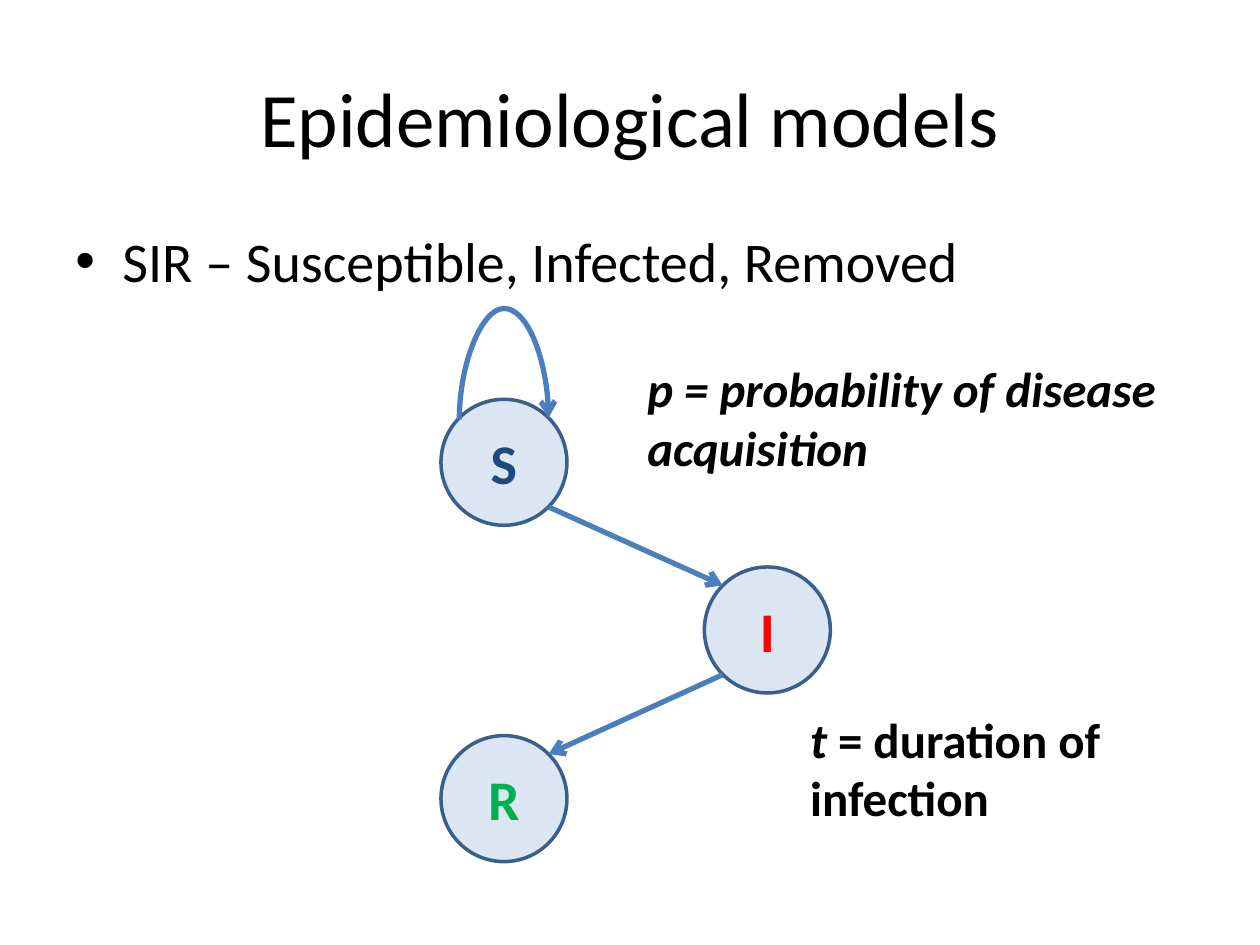
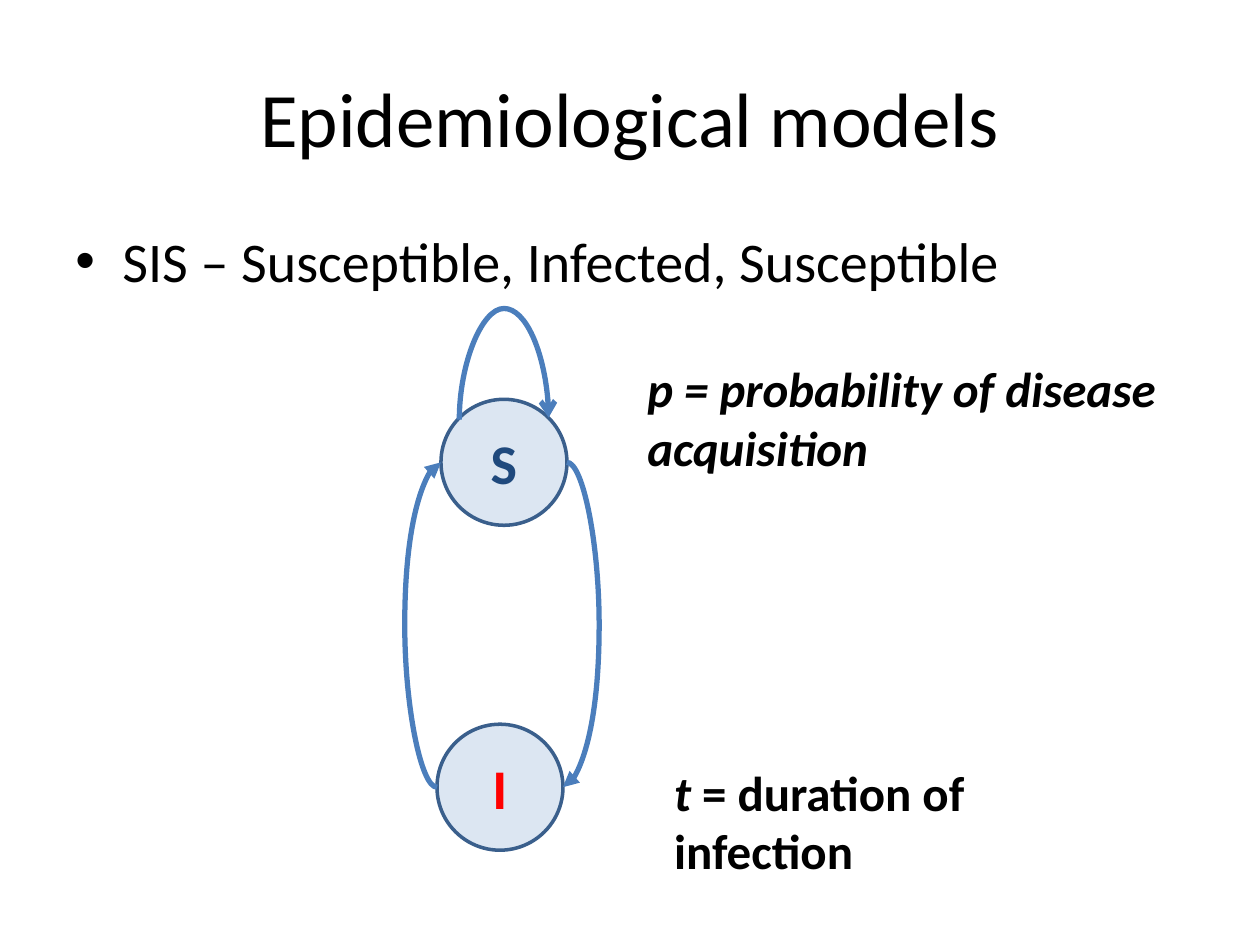
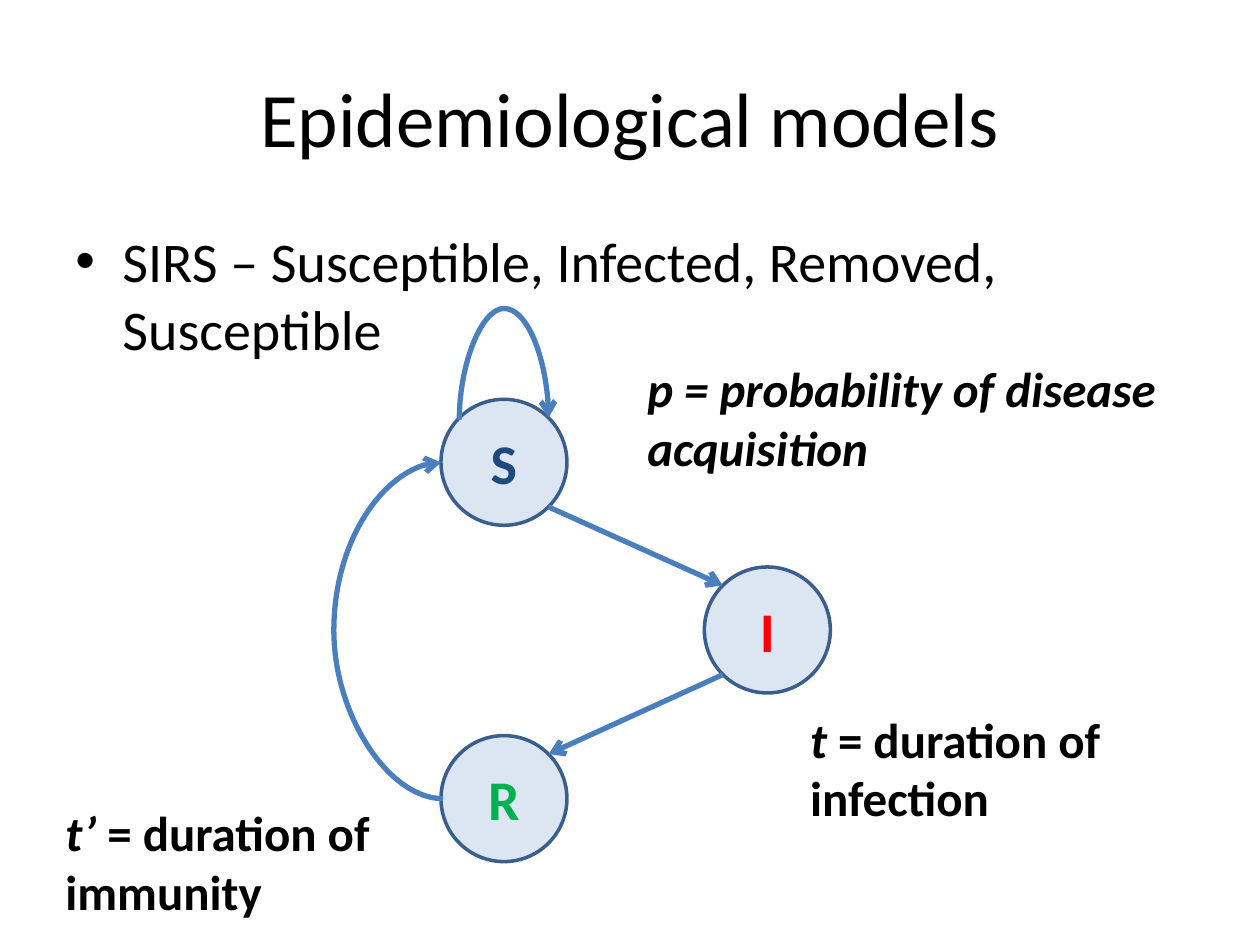
import math

from pptx import Presentation
from pptx import util as u
from pptx.dml.color import RGBColor
from pptx.enum import shapes, text
from pptx.oxml.ns import qn
from lxml import etree

FONT = "Calibri"
BLACK = RGBColor(0x00, 0x00, 0x00)
NODE_FILL = RGBColor(0xDC, 0xE6, 0xF2)
NODE_LINE = RGBColor(0x3A, 0x5F, 0x8C)
ARROW = RGBColor(0x4B, 0x7E, 0xBC)
STATE_COLOURS = {
    "S": RGBColor(0x1F, 0x49, 0x7D),
    "I": RGBColor(0xFF, 0x00, 0x00),
    "R": RGBColor(0x00, 0xB0, 0x50),
}

# All lengths are centimetres; nodes are placed by their centres.
NODE_SIZE = 2.54
RADIUS = NODE_SIZE / 2
DIAGONAL = 0.9
S_CENTRE = (10.16, 9.32)
I_CENTRE = (15.47, 12.7)
R_CENTRE = (10.16, 16.1)
I_BELOW_S = (10.08, 15.87)


def shifted(point, across, down):
    return point[0] + across, point[1] + down


def set_font(font, size, colour=BLACK, bold=False):
    font.name = FONT
    font.size = u.Pt(size)
    font.bold = bold
    font.color.rgb = colour


def add_model_slide(deck, summary):
    """Add a slide with the shared title and one bulleted line."""
    slide = deck.slides.add_slide(deck.slide_layouts[5])
    title = slide.shapes.title
    title.left, title.top = u.Cm(1.27), u.Cm(0.76)
    title.width, title.height = u.Cm(22.86), u.Cm(3.18)
    title.text_frame.text = "Epidemiological models"
    title.text_frame.vertical_anchor = text.MSO_ANCHOR.MIDDLE
    para = title.text_frame.paragraphs[0]
    para.alignment = text.PP_ALIGN.CENTER
    set_font(para.font, 44)

    box = slide.shapes.add_textbox(u.Cm(1.27), u.Cm(4.45), u.Cm(22.86), u.Cm(12.57))
    box.text_frame.word_wrap = True
    para = box.text_frame.paragraphs[0]
    para.text = summary
    para.space_before = u.Pt(6.4)
    set_font(para.font, 32)
    properties = para._p.get_or_add_pPr()
    properties.set("marL", str(u.Cm(0.95)))
    properties.set("indent", str(-u.Cm(0.95)))
    bullet_font = etree.Element(qn("a:buFont"), typeface="Arial")
    bullet = etree.Element(qn("a:buChar"), char="•")
    properties.find(qn("a:spcBef")).addnext(bullet_font)
    bullet_font.addnext(bullet)
    return slide


def add_node(slide, state, centre):
    left, top = shifted(centre, -RADIUS, -RADIUS)
    node = slide.shapes.add_shape(
        shapes.MSO_SHAPE.OVAL, u.Cm(left), u.Cm(top), u.Cm(NODE_SIZE), u.Cm(NODE_SIZE))
    node.shadow.inherit = False
    node.fill.solid()
    node.fill.fore_color.rgb = NODE_FILL
    node.line.color.rgb = NODE_LINE
    node.line.width = u.Pt(2)
    node.text_frame.vertical_anchor = text.MSO_ANCHOR.MIDDLE
    para = node.text_frame.paragraphs[0]
    para.text = state
    para.alignment = text.PP_ALIGN.CENTER
    set_font(para.font, 32, STATE_COLOURS[state], bold=True)


def add_arrow(slide, begin, end, kind=shapes.MSO_CONNECTOR.STRAIGHT, head="arrow"):
    points = [u.Cm(value) for value in (*begin, *end)]
    arrow = slide.shapes.add_connector(kind, *points)
    arrow.line.color.rgb = ARROW
    arrow.line.width = u.Pt(3)
    etree.SubElement(arrow.line._get_or_add_ln(), qn("a:tailEnd"), type=head)
    etree.SubElement(arrow._element.spPr, qn("a:effectLst"))
    return arrow


def add_curve(slide, begin, end, bulge, turn=0, head="arrow"):
    """Draw a curved arrow; bulge is its sideways reach before the turn in degrees."""
    middle = [(first + last) / 2 for first, last in zip(begin, end)]
    cosine, sine = math.cos(math.radians(turn)), math.sin(math.radians(turn))

    def unturned(point):
        across, down = point[0] - middle[0], point[1] - middle[1]
        return shifted(middle, across * cosine + down * sine, down * cosine - across * sine)

    start, finish = unturned(begin), unturned(end)
    curve = add_arrow(slide, start, finish, shapes.MSO_CONNECTOR.CURVE, head)
    properties = curve._element.spPr
    properties.find(qn("a:xfrm")).set("rot", str(turn * 60000))
    geometry = properties.find(qn("a:prstGeom"))
    guides = geometry.find(qn("a:avLst"))
    if guides is None:
        guides = etree.SubElement(geometry, qn("a:avLst"))
    ratio = round(bulge / (finish[0] - start[0]) * 100000)
    etree.SubElement(guides, qn("a:gd"), name="adj1", fmla=f"val {ratio}")


def add_note(slide, left, top, width, symbol, meaning, last_line, italic=False):
    """Write a two-line definition whose symbol is always italic."""
    box = slide.shapes.add_textbox(u.Cm(left), u.Cm(top), u.Cm(width), u.Cm(2.64))
    frame = box.text_frame
    frame.word_wrap = False
    frame.auto_size = text.MSO_AUTO_SIZE.SHAPE_TO_FIT_TEXT
    lines = [[(symbol + " ", True), (meaning, italic)], [(last_line, italic)]]
    for number, line in enumerate(lines):
        para = frame.add_paragraph() if number else frame.paragraphs[0]
        set_font(para.font, 28, bold=True)
        for words, slanted in line:
            span = para.add_run()
            span.text = words
            span.font.italic = slanted


def add_susceptible(slide):
    """Add the S node, its loop and the definition of p."""
    add_node(slide, "S", S_CENTRE)
    add_curve(slide, shifted(S_CENTRE, -DIAGONAL, -DIAGONAL + 0.04),
              shifted(S_CENTRE, DIAGONAL, -DIAGONAL), bulge=-2.24, turn=90)
    add_note(slide, 12.8, 7.11, 11.1, "p", "= probability of disease", "acquisition", italic=True)


def add_infection_note(slide, left, top):
    add_note(slide, left, top, 6.45, "t", "= duration of", "infection")


def add_removal_path(slide):
    """Add the I and R nodes with the arrows from S to I to R."""
    add_node(slide, "I", I_CENTRE)
    add_node(slide, "R", R_CENTRE)
    add_arrow(slide, shifted(S_CENTRE, DIAGONAL, DIAGONAL),
              shifted(I_CENTRE, -DIAGONAL, -DIAGONAL))
    add_arrow(slide, shifted(I_CENTRE, -DIAGONAL, DIAGONAL),
              shifted(R_CENTRE, DIAGONAL, -DIAGONAL))
    add_infection_note(slide, 16.08, 14.17)


def main():
    deck = Presentation()
    deck.slide_width, deck.slide_height = u.Cm(25.4), u.Cm(19.05)

    sir = add_model_slide(deck, "SIR – Susceptible, Infected, Removed")
    add_susceptible(sir)
    add_removal_path(sir)

    sis = add_model_slide(deck, "SIS – Susceptible, Infected, Susceptible")
    add_susceptible(sis)
    add_node(sis, "I", I_BELOW_S)
    add_infection_note(sis, 13.34, 15.24)
    add_curve(sis, shifted(S_CENTRE, RADIUS, 0), shifted(I_BELOW_S, RADIUS, 0),
              bulge=0.65, head="triangle")
    add_curve(sis, shifted(I_BELOW_S, -RADIUS, 0), shifted(S_CENTRE, -RADIUS, 0),
              bulge=0.65, turn=180, head="triangle")

    sirs = add_model_slide(deck, "SIRS – Susceptible, Infected, Removed, Susceptible")
    add_susceptible(sirs)
    add_removal_path(sirs)
    add_curve(sirs, shifted(R_CENTRE, -RADIUS + 0.04, 0), shifted(S_CENTRE, -RADIUS, 0),
              bulge=2.2, turn=180)
    add_note(sirs, 1.07, 16.05, 6.81, "t’", "= duration of", "immunity")

    deck.save("out.pptx")


if __name__ == "__main__":
    main()
